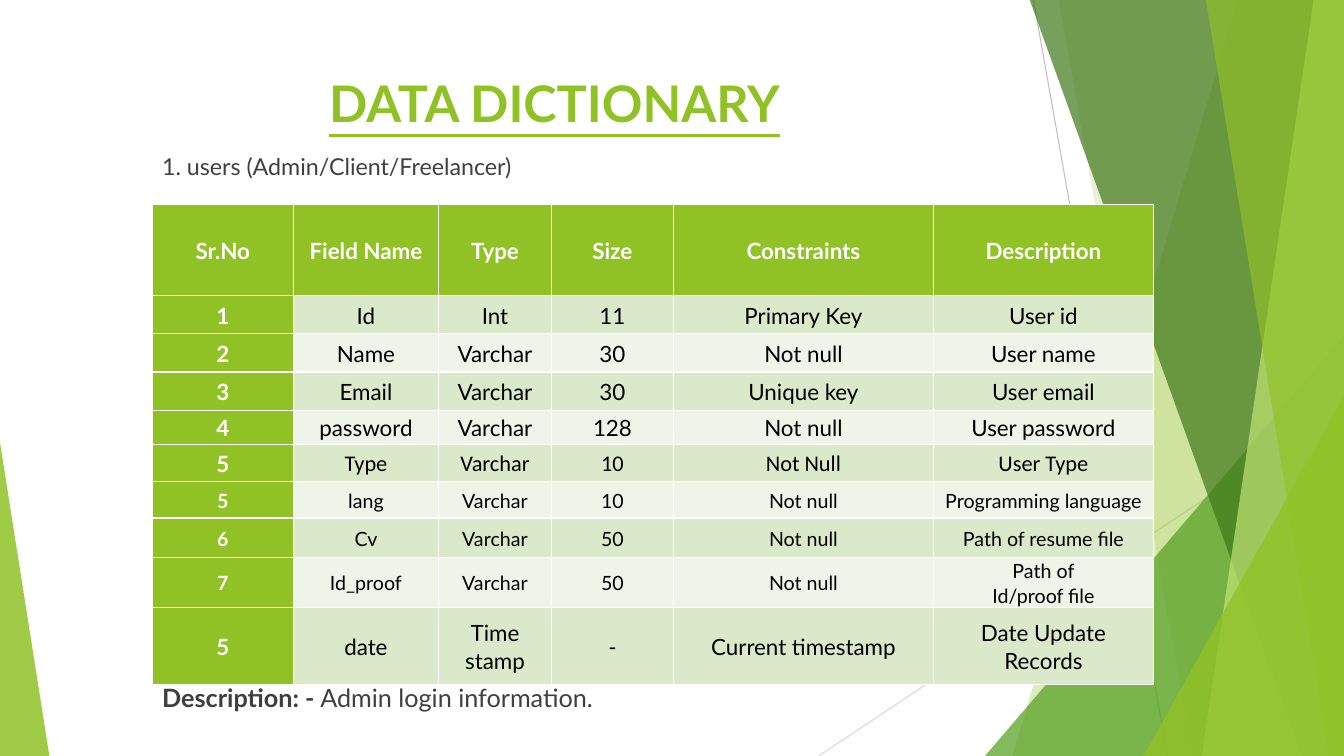
from dataclasses import dataclass

import lxml.etree
import pptx
import pptx.dml.color
import pptx.enum.shapes
import pptx.enum.text
import pptx.oxml.ns
import pptx.util

RGBColor = pptx.dml.color.RGBColor
Align = pptx.enum.text.PP_ALIGN

PX = 9144
SLIDE_WIDTH, SLIDE_HEIGHT = 1333, 750

LIME = RGBColor(0x90, 0xC2, 0x26)
GREEN = RGBColor(0x54, 0xA0, 0x21)
DARK_GREEN = RGBColor(0x3F, 0x78, 0x19)
PALE_LIME = RGBColor(0xC0, 0xE4, 0x74)
GRAY = RGBColor(0xBF, 0xBF, 0xBF)
LIGHT_GRAY = RGBColor(0xD9, 0xD9, 0xD9)
TEXT_GRAY = RGBColor(0x40, 0x40, 0x40)
NOTE_GRAY = RGBColor(0x3F, 0x3F, 0x3F)
WHITE = RGBColor(0xFF, 0xFF, 0xFF)
BLACK = RGBColor(0x00, 0x00, 0x00)
BANDS = (RGBColor(0xDB, 0xE9, 0xCB), RGBColor(0xEE, 0xF4, 0xE7))


@dataclass(frozen=True)
class Ray:
    start: tuple[int, int]
    end: tuple[int, int]
    color: RGBColor


@dataclass(frozen=True)
class Panel:
    top_left: int
    bottom_left: int
    color: RGBColor
    opacity: int


@dataclass(frozen=True)
class Wedge:
    left: int
    top: int
    width: int
    apex: int
    color: RGBColor
    opacity: int


@dataclass(frozen=True)
class Row:
    height: int
    values: tuple[str, ...]
    size: int = 16
    font: str = "Lato"
    inset: int = 7


RAYS = (
    Ray((1025, 0), (1158, 750), GRAY),
    Ray((1333, 403), (812, 750), LIGHT_GRAY),
)
DECORATIONS = (
    Panel(1228, 1004, LIME, 30),
    Panel(1050, 1183, LIME, 20),
    Wedge(977, 333, 356, 1, GREEN, 72),
    Panel(1021, 1291, DARK_GREEN, 70),
    Panel(1303, 1192, PALE_LIME, 70),
    Panel(1196, 1318, LIME, 65),
    Wedge(1134, 393, 199, 1, LIME, 80),
    Wedge(0, 439, 49, 0, LIME, 85),
)
COLUMN_WIDTHS = (140, 144, 112, 121, 258, 218)
ROWS = (
    Row(90, ("Sr.No", "Field Name", "Type", "Size", "Constraints", "Description")),
    Row(38, ("1", "Id", "Int", "11", "Primary Key", "User id")),
    Row(38, ("2", "Name", "Varchar", "30", "Not null", "User name")),
    Row(38, ("3", "Email", "Varchar", "30", "Unique key", "User email")),
    Row(34, ("4", "password", "Varchar", "128", "Not null", "User password")),
    Row(37, ("5", "Type", "Varchar", "10", "Not Null", "User Type"), font="Calibri"),
    Row(36, ("5", "lang", "Varchar", "10", "Not null", "Programming language"), 14, inset=6),
    Row(39, ("6", "Cv", "Varchar", "50", "Not null", "Path of resume file"), 14, inset=6),
    Row(40, ("7", "Id_proof", "Varchar", "50", "Not null", "Path of\nId/proof file"), 14, inset=6),
    Row(76, ("5", "date", "Time stamp", "-", "Current timestamp", "Date Update Records")),
)


def px(length: int) -> pptx.util.Emu:
    return pptx.util.Emu(length * PX)


def write_text(frame, text: str, *, size: float, color: RGBColor, font: str = "Lato",
               bold: bool = False, underline: bool = False, align=Align.LEFT,
               spacing: float = 1.0, lead: str = "") -> None:
    for index, line in enumerate(text.split("\n")):
        paragraph = frame.add_paragraph() if index else frame.paragraphs[0]
        paragraph.alignment = align
        paragraph.line_spacing = spacing
        parts = [(line, bold)]
        if lead and index == 0:
            parts.insert(0, (lead, True))
        for words, is_bold in parts:
            run = paragraph.add_run()
            run.text = words
            run.font.name = font
            run.font.size = pptx.util.Pt(size)
            run.font.color.rgb = color
            run.font.bold = is_bold
            if underline:
                run.font.underline = True


def add_text_box(slide, left: int, top: int, width: int, height: int):
    frame = slide.shapes.add_textbox(px(left), px(top), px(width), px(height)).text_frame
    frame.word_wrap = True
    frame.margin_left = frame.margin_right = px(10)
    frame.margin_top = frame.margin_bottom = px(5)
    return frame


def draw_ray(slide, ray: Ray) -> None:
    connector = slide.shapes.add_connector(
        pptx.enum.shapes.MSO_CONNECTOR.STRAIGHT, *map(px, ray.start + ray.end))
    connector.line.color.rgb = ray.color
    connector.line.width = pptx.util.Pt(0.75)
    lxml.etree.SubElement(connector.element.spPr, pptx.oxml.ns.qn("a:effectLst"))


def draw_decoration(slide, item: Panel | Wedge) -> None:
    if isinstance(item, Panel):
        builder = slide.shapes.build_freeform(item.top_left, -1, scale=PX)
        builder.add_line_segments([
            (SLIDE_WIDTH, -1), (SLIDE_WIDTH, SLIDE_HEIGHT), (item.bottom_left, SLIDE_HEIGHT)])
        shape = builder.convert_to_shape()
    else:
        shape = slide.shapes.add_shape(
            pptx.enum.shapes.MSO_SHAPE.ISOSCELES_TRIANGLE, px(item.left), px(item.top),
            px(item.width), px(SLIDE_HEIGHT - item.top))
        shape.adjustments[0] = item.apex
    shape.shadow.inherit = False
    shape.line.fill.background()
    shape.fill.solid()
    shape.fill.fore_color.rgb = item.color
    color_element = shape.element.spPr.find(pptx.oxml.ns.qn("a:solidFill"))[0]
    alpha = lxml.etree.SubElement(color_element, pptx.oxml.ns.qn("a:alpha"))
    alpha.set("val", str(item.opacity * 1000))


def draw_table(slide) -> None:
    table = slide.shapes.add_table(
        len(ROWS), len(COLUMN_WIDTHS), px(151), px(203),
        px(sum(COLUMN_WIDTHS)), px(sum(row.height for row in ROWS))).table
    table.first_col = True
    for column, width in zip(table.columns, COLUMN_WIDTHS):
        column.width = px(width)
    for row_index, row in enumerate(ROWS):
        table.rows[row_index].height = px(row.height)
        for column_index, value in enumerate(row.values):
            is_heading = row_index == 0 or column_index == 0
            cell = table.cell(row_index, column_index)
            cell.margin_left = cell.margin_right = px(row.inset)
            cell.margin_top = cell.margin_bottom = 0
            cell.vertical_anchor = pptx.enum.text.MSO_ANCHOR.MIDDLE
            cell.fill.solid()
            cell.fill.fore_color.rgb = LIME if is_heading else BANDS[(row_index - 1) % 2]
            write_text(cell.text_frame, value, size=row.size, bold=is_heading,
                       font="Lato" if is_heading else row.font,
                       color=WHITE if is_heading else BLACK,
                       align=Align.CENTER, spacing=1.07)


def main() -> None:
    presentation = pptx.Presentation()
    presentation.slide_width = px(SLIDE_WIDTH)
    presentation.slide_height = px(SLIDE_HEIGHT)
    slide = presentation.slides.add_slide(presentation.slide_layouts[6])

    for ray in RAYS:
        draw_ray(slide, ray)
    for item in DECORATIONS:
        draw_decoration(slide, item)

    title = add_text_box(slide, 74, 67, 940, 144)
    title.margin_left = px(22)
    write_text(title, "DATA DICTIONARY", size=36, color=LIME, bold=True,
               underline=True, align=Align.CENTER)
    write_text(add_text_box(slide, 151, 149, 504, 36), "1. users (Admin/Client/Freelancer)",
               size=16.6, color=TEXT_GRAY, spacing=0.9)
    draw_table(slide)
    write_text(add_text_box(slide, 151, 672, 744, 78), " Admin login information.",
               size=18, color=NOTE_GRAY, lead="Description: -")

    presentation.save("out.pptx")


if __name__ == "__main__":
    main()
